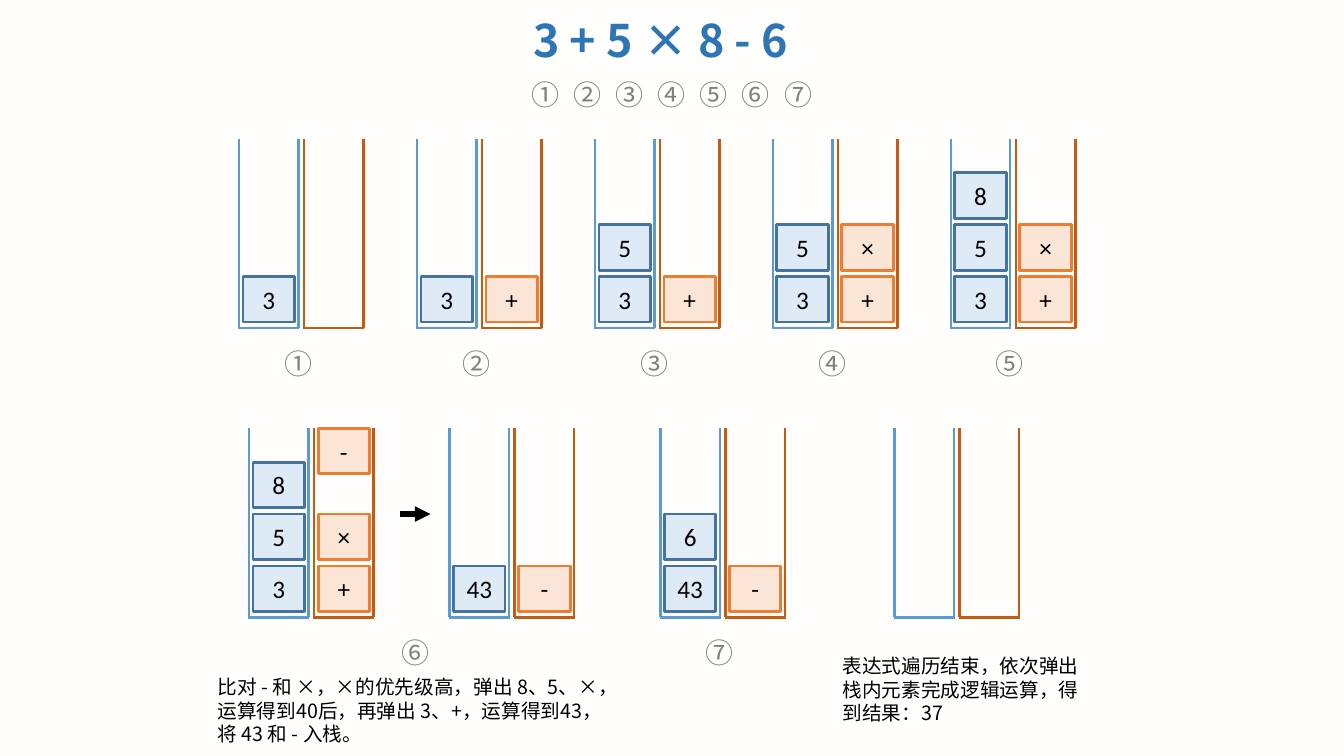
from pptx import Presentation
from pptx import util as u
from pptx.dml.color import RGBColor
from pptx.enum import shapes, text
from pptx.oxml import parse_xml
from pptx.oxml.ns import nsdecls, qn
from lxml import etree

COLORS = {
    "page": "FFFEFD", "title": "2E75B6", "step": "808080", "ink": "000000",
    "number_wall": "5B9BD5", "number_fill": "DEEBF7", "number_edge": "43739E",
    "operator_wall": "C55A11", "operator_fill": "FBE5D6", "operator_edge": "ED7D31",
}
CJK, LATIN = "Noto Sans CJK SC", "Calibri"
STEPS = "①②③④⑤⑥⑦"

# All lengths below are in grid units: ten columns or rows to the inch
STACK_WIDTH, STACK_HEIGHT, STACK_PITCH = 5.9, 18.75, 6.45
BLOCK_WIDTH, BLOCK_HEIGHT, BLOCK_PITCH = 5.1, 4.5, 5.15
UPPER_TOP, LOWER_TOP = 13.8, 42.5
UPPER_LEFT, UPPER_PITCH = 23.7, 17.65


def grid(units):
    return u.Inches(units / 10)


def color(name):
    return RGBColor.from_string(COLORS[name])


def style_text(frame, words, size, font, shade, bold=None):
    frame.text = words
    for span in frame.paragraphs[0].runs:
        span.font.size = u.Pt(size)
        span.font.name = font
        span.font.bold = bold
        span.font.color.rgb = color(shade)
        east_asian = etree.SubElement(span._r.get_or_add_rPr(), qn("a:ea"))
        east_asian.set("typeface", font)


def add_text(parent, left, top, width, height, words, size, shade, wrap=True, bold=None):
    box = parent.shapes.add_textbox(grid(left), grid(top), grid(width), grid(height))
    frame = box.text_frame
    frame.word_wrap = wrap
    frame.auto_size = text.MSO_AUTO_SIZE.SHAPE_TO_FIT_TEXT
    style_text(frame, words, size, CJK, shade, bold)


def add_step(parent, left, top, step, wrap=True):
    add_text(parent, left, top, 4.8, 4.4, step, 20, "step", wrap)


def add_line(parent, start, end, shade, weight=1.75, arrow=False):
    line = parent.shapes.add_connector(
        shapes.MSO_CONNECTOR.STRAIGHT, *(grid(units) for units in (*start, *end)))
    line.line.color.rgb = color(shade)
    line.line.width = u.Pt(weight)
    if arrow:
        line.line._get_or_add_ln().append(
            parse_xml(f'<a:tailEnd {nsdecls("a")} type="triangle"/>'))
    etree.SubElement(line._element.spPr, qn("a:effectLst"))


def add_block(parent, kind, left, top, level, words):
    """Place a block in a stack, level 0 being the lowest."""
    block_top = top + STACK_HEIGHT - 5.1 - level * BLOCK_PITCH
    block = parent.shapes.add_shape(
        shapes.MSO_SHAPE.RECTANGLE, grid(left + 0.4), grid(block_top),
        grid(BLOCK_WIDTH), grid(BLOCK_HEIGHT))
    block.shadow.inherit = False
    block.fill.solid()
    block.fill.fore_color.rgb = color(f"{kind}_fill")
    block.line.color.rgb = color(f"{kind}_edge")
    block.line.width = u.Pt(2)
    frame = block.text_frame
    frame.vertical_anchor = text.MSO_ANCHOR.MIDDLE
    style_text(frame, words, 18, LATIN, "ink")
    frame.paragraphs[0].alignment = text.PP_ALIGN.CENTER


def add_stack(parent, kind, left, top, blocks):
    base, right = top + STACK_HEIGHT, left + STACK_WIDTH
    for wall in (left, right):
        add_line(parent, (wall, top), (wall, base), f"{kind}_wall")
    add_line(parent, (left - 0.07, base), (right + 0.07, base), f"{kind}_wall")
    for level, words in enumerate(blocks):
        add_block(parent, kind, left, top, level, words)


def add_pair(page, left, top, numbers=(), operators=(), step=None):
    """Draw a number stack beside an operator stack."""
    pair = page.shapes.add_group_shape()
    add_stack(pair, "number", left, top, numbers)
    add_stack(pair, "operator", left + STACK_PITCH, top, operators)
    if step:
        add_step(pair, left + 3.5, top + 20.1, step)
    return pair


def main():
    deck = Presentation()
    deck.slide_width, deck.slide_height = u.Inches(13.33), u.Inches(7.5)
    page = deck.slides.add_slide(deck.slide_layouts[6])
    page.background.fill.solid()
    page.background.fill.fore_color.rgb = color("page")

    # Expression with numbered symbols
    heading = page.shapes.add_group_shape()
    add_text(heading, 51.9, 0.8, 29.7, 6.4, "3 + 5 × 8 - 6", 32, "title", False, True)
    for column, step in enumerate(STEPS):
        add_step(heading, 51.7 + column * 4.18, 7.2, step, wrap=False)

    # Upper row: pushing the first five symbols
    pushes = [("3", ""), ("3", "+"), ("35", "+"), ("35", "+×"), ("358", "+×")]
    for column, (numbers, operators) in enumerate(pushes):
        add_pair(page, UPPER_LEFT + column * UPPER_PITCH, UPPER_TOP,
                 numbers, operators, STEPS[column])

    # Lower row: comparing precedence, then finishing
    compare = add_pair(page, 24.7, LOWER_TOP, "358", "+×")
    add_block(compare, "operator", 24.7 + STACK_PITCH, LOWER_TOP, 2.65, "-")
    add_line(page, (39.7, 51), (42.7, 51), "ink", 3.75, arrow=True)
    add_pair(page, 44.6, LOWER_TOP, ["43"], "-")
    add_step(page, 38.8, 62.6, STEPS[5])
    add_pair(page, 65.5, LOWER_TOP, ["43", "6"], "-", STEPS[6])
    add_pair(page, 88.7, LOWER_TOP)

    # Explanations
    add_text(page, 20.6, 66.5, 41.9, 8.1,
             "比对 - 和 ×，×的优先级高，弹出 8、5、×，运算得到40后，"
             "再弹出 3、+，运算得到43，将 43 和 - 入栈。", 14, "ink")
    add_text(page, 82.6, 64.4, 26.9, 8.1,
             "表达式遍历结束，依次弹出栈内元素完成逻辑运算，得到结果：37", 14, "ink")

    deck.save("out.pptx")


if __name__ == "__main__":
    main()
